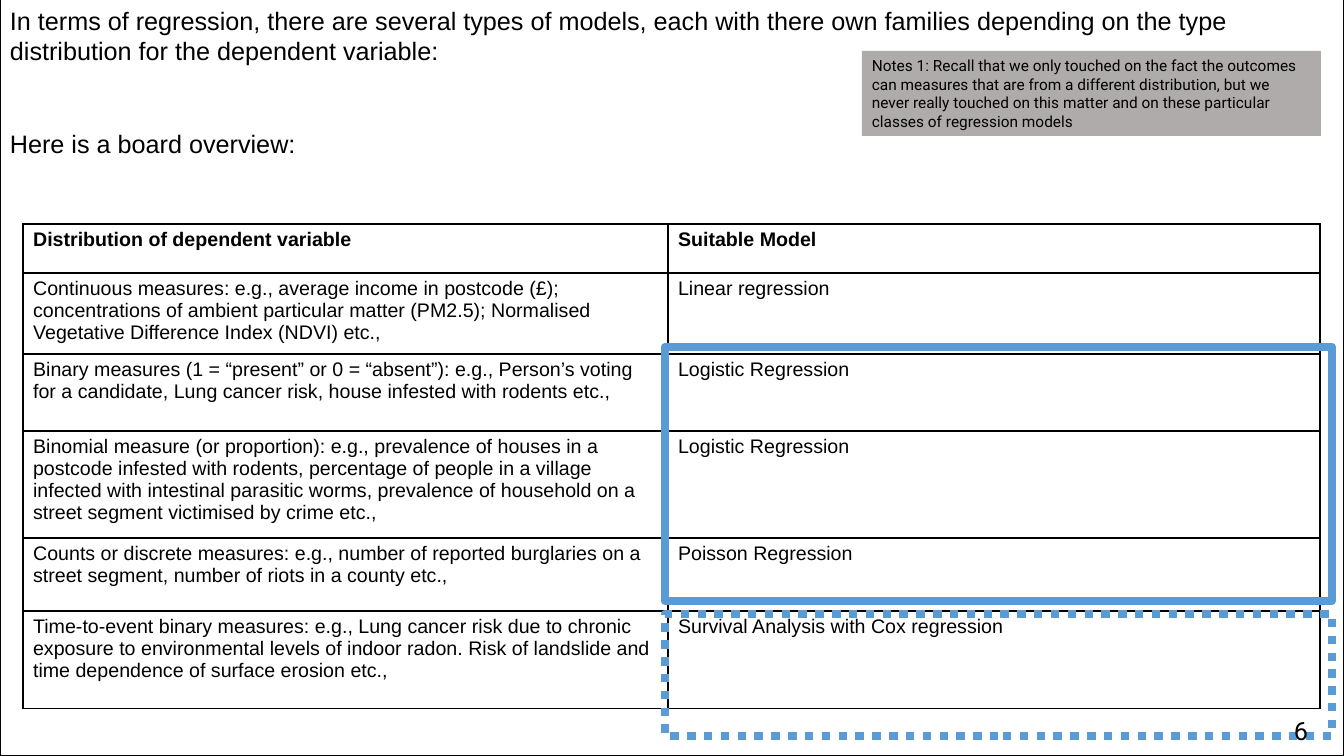
from lxml import etree
from pptx import Presentation
from pptx import util as u
from pptx.dml.color import RGBColor
from pptx.enum import dml, shapes, text
from pptx.oxml.ns import qn

COLORS = {"ink": "000000", "blue": "5B9BD5", "gray": "AFABAB"}
INTRO = [
    ("In terms of regression, there are several types of models, each with there own families "
     "depending on the type distribution for the dependent variable:", 0),
    ("Here is a board overview:", 45),
]
NOTE = ("Notes 1: Recall that we only touched on the fact the outcomes can measures that are from "
        "a different distribution, but we never really touched on this matter and on these "
        "particular classes of regression models")
PAGE = "6"
MODELS = [
    ("Distribution of dependent variable", "Suitable Model", 49),
    ("Continuous measures: e.g., average income in postcode (£); concentrations of ambient "
     "particular matter (PM2.5); Normalised Vegetative Difference Index (NDVI) etc.,",
     "Linear regression", 81),
    ("Binary measures (1 = “present” or 0 = “absent”): e.g., Person’s voting for a candidate, "
     "Lung cancer risk, house infested with rodents etc.,", "Logistic Regression", 77),
    ("Binomial measure (or proportion): e.g., prevalence of houses in a postcode infested with "
     "rodents, percentage of people in a village infected with intestinal parasitic worms, "
     "prevalence of household on a street segment victimised by crime etc.,",
     "Logistic Regression", 107),
    ("Counts or discrete measures: e.g., number of reported burglaries on a street segment, "
     "number of riots in a county etc.,", "Poisson Regression", 73),
    ("Time-to-event binary measures: e.g., Lung cancer risk due to chronic exposure to "
     "environmental levels of indoor radon. Risk of landslide and time dependence of surface "
     "erosion etc.,", "Survival Analysis with Cox regression", 98),
]
COL_WIDTHS = [645, 652]
TABLE_AT = (23, 224, sum(COL_WIDTHS), sum(row[2] for row in MODELS))
SLIDE = (1344, 756)
FRAME_X, FRAME_W = 665, 667
FRAMES = [(347, 254, None), (614, 122, dml.MSO_LINE.ROUND_DOT)]
FORMATS = {
    "intro": {"size": u.Pt(18), "name": "Arial"},
    "note": {"size": u.Pt(11), "name": "Roboto"},
    "head": {"size": u.Pt(14), "name": "Arial", "bold": True},
    "cell": {"size": u.Pt(14), "name": "Arial", "bold": False},
    "page": {"size": u.Pt(18), "name": "Roboto"},
}


def px(n):
    return u.Emu(round(n * 914400 / 100.8))


def rgb(name):
    return RGBColor.from_string(COLORS[name])


def write(p, words, style):
    p.alignment = text.PP_ALIGN.LEFT
    r = p.add_run()
    r.text = words
    for key, value in FORMATS[style].items():
        setattr(r.font, key, value)
    r.font.color.rgb = rgb("ink")


def box(slide, at, fill=None, line=None, width=0, dash=None):
    sp = slide.shapes.add_shape(shapes.MSO_SHAPE.RECTANGLE, *map(px, at))
    sp.shadow.inherit = False
    if fill:
        sp.fill.solid()
        sp.fill.fore_color.rgb = rgb(fill)
    else:
        sp.fill.background()
    if line:
        sp.line.color.rgb = rgb(line)
        sp.line.width = u.Pt(width)
        sp.line.dash_style = dash
    else:
        sp.line.fill.background()
    sp.text_frame.word_wrap = True
    return sp


def outline(cell):
    tcPr = cell._tc.get_or_add_tcPr()
    for i, side in enumerate(("lnL", "lnR", "lnT", "lnB")):
        ln = etree.Element(qn("a:" + side), w=str(u.Pt(1)))
        fill = etree.SubElement(ln, qn("a:solidFill"))
        etree.SubElement(fill, qn("a:srgbClr"), val=COLORS["ink"])
        tcPr.insert(i, ln)


def model_table(slide):
    table = slide.shapes.add_table(len(MODELS), len(COL_WIDTHS), *map(px, TABLE_AT)).table
    for col, width in zip(table.columns, COL_WIDTHS):
        col.width = px(width)
    for i, (measure, model, height) in enumerate(MODELS):
        table.rows[i].height = px(height)
        for j, words in enumerate((measure, model)):
            cell = table.cell(i, j)
            cell.fill.background()
            outline(cell)
            write(cell.text_frame.paragraphs[0], words, "cell" if i else "head")


def main():
    prs = Presentation()
    prs.slide_width, prs.slide_height = map(px, SLIDE)
    slide = prs.slides.add_slide(prs.slide_layouts[6])

    tf = box(slide, (0, 0, *SLIDE), line="ink", width=0.75).text_frame
    tf.vertical_anchor = text.MSO_ANCHOR.TOP
    for i, (words, gap) in enumerate(INTRO):
        p = tf.add_paragraph() if i else tf.paragraphs[0]
        p.space_before = u.Pt(gap)
        write(p, words, "intro")

    model_table(slide)
    for y, height, dash in FRAMES:
        box(slide, (FRAME_X, y, FRAME_W, height), line="blue", width=6, dash=dash)
    note = box(slide, (862, 51, 459, 85), fill="gray")
    write(note.text_frame.paragraphs[0], NOTE, "note")

    page = slide.shapes.add_textbox(*map(px, (1284, 710, 59, 16)))
    page.text_frame.word_wrap = True
    write(page.text_frame.paragraphs[0], PAGE, "page")
    prs.save("out.pptx")


if __name__ == "__main__":
    main()
